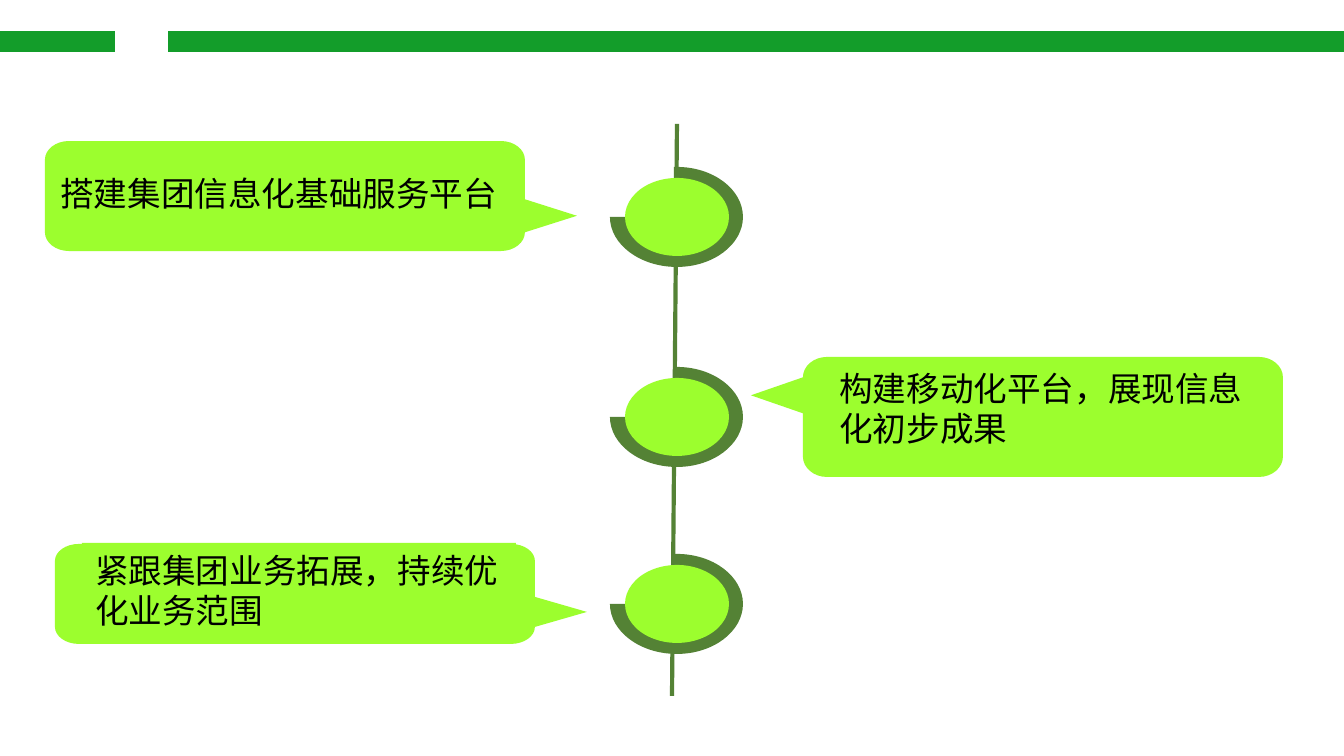
from pptx import Presentation
from pptx import util as u
from pptx.dml.color import RGBColor
from pptx.enum import shapes, text
from pptx.oxml.ns import qn
from lxml import etree

PX = 914400 / 134.4
COLORS = {"bar": "139D2A", "ring": "548235", "lime": "9CFE2E", "text": "000000"}

AXIS_X = 677
NODE_CENTERS = (217, 417, 604)
CALLOUT_WIDTH = 480
TAIL_LENGTH = 52
ARC_PULL = 0.55


def px(value):
    return u.Emu(round(value * PX))


def color(name):
    return RGBColor.from_string(COLORS[name])


def paint(shape, fill):
    shape.shadow.inherit = False
    shape.fill.solid()
    shape.fill.fore_color.rgb = color(fill)
    shape.line.fill.background()


def add_preset(page, kind, left, top, width, height, fill):
    shape = page.shapes.add_shape(kind, px(left), px(top), px(width), px(height))
    paint(shape, fill)


def quarter(start, corner, end):
    """Bezier points of a quarter ellipse that bends toward the corner."""
    def pull(point):
        return tuple(p + ARC_PULL * (c - p) for p, c in zip(point, corner))
    return [pull(start), pull(end), end]


def add_outline(page, start, segments, fill):
    """Closed outline; a segment holds one point (line) or three (curve)."""
    builder = page.shapes.build_freeform(px(start[0]), px(start[1]))
    builder.add_line_segments(
        [(px(x), px(y)) for segment in segments for x, y in segment], close=True)
    shape = builder.convert_to_shape()
    steps = iter(list(shape._element.iter(qn("a:lnTo"))))
    for segment in segments:
        first, *others = [next(steps) for _ in segment]
        if others:
            curve = etree.Element(qn("a:cubicBezTo"))
            first.addprevious(curve)
            for step in (first, *others):
                curve.append(step[0])
                step.getparent().remove(step)
    paint(shape, fill)


def add_axis(page):
    line = page.shapes.add_connector(
        shapes.MSO_CONNECTOR.STRAIGHT, px(677), px(124), px(672), px(696))
    line.line.color.rgb = color("ring")
    line.line.width = u.Pt(2.25)
    etree.SubElement(line._element.spPr, qn("a:effectLst"))


def add_ring(page, center_y):
    """Three-quarter disc, open at the upper left."""
    left, right = 610, 743
    top, bottom = center_y - 50, center_y + 50
    notch_x = AXIS_X - 3
    north, east = (AXIS_X, top), (right, center_y)
    south, west = (AXIS_X, bottom), (left, center_y)
    add_outline(page, north, [
        quarter(north, (right, top), east),
        quarter(east, (right, bottom), south),
        quarter(south, (left, bottom), west),
        [(notch_x, center_y)],
        [(notch_x, top)],
    ], "ring")


def add_callout(page, left, top, height, points_left=False):
    """Rounded box with a tail on its right, or turned by half a circle."""
    right, bottom = left + CALLOUT_WIDTH, top + height
    inner_left, inner_right = left + 24, right - 24
    inner_top, inner_bottom = top + 0.17 * height, bottom - 0.17 * height

    start = (inner_left, top)
    segments = [
        [(inner_right, top)],
        quarter((inner_right, top), (right, top), (right, inner_top)),
        [(right, top + 0.53 * height)],
        [(right + TAIL_LENGTH, top + 0.68 * height)],
        [(right, inner_bottom)],
        quarter((right, inner_bottom), (right, bottom), (inner_right, bottom)),
        [(inner_left, bottom)],
        quarter((inner_left, bottom), (left, bottom), (left, inner_bottom)),
        [(left, inner_top)],
        quarter((left, inner_top), (left, top), start),
    ]
    if points_left:
        def turn(point):
            return left + right - point[0], top + bottom - point[1]
        start = turn(start)
        segments = [[turn(point) for point in segment] for segment in segments]
    add_outline(page, start, segments, "lime")


def add_label(page, words, left, top, width, height, wrap=True, fill=None):
    box = page.shapes.add_textbox(px(left), px(top), px(width), px(height))
    if fill:
        paint(box, fill)
    frame = box.text_frame
    frame.word_wrap = wrap
    frame.auto_size = text.MSO_AUTO_SIZE.SHAPE_TO_FIT_TEXT
    para = frame.paragraphs[0]
    para.text = words
    para.font.name = "Calibri"
    para.font.size = u.Pt(18)
    para.font.color.rgb = color("text")


def main():
    deck = Presentation()
    deck.slide_width, deck.slide_height = px(1344), px(756)
    page = deck.slides.add_slide(deck.slide_layouts[6])

    for left, width in ((0, 115), (168, 1176)):
        add_preset(page, shapes.MSO_SHAPE.RECTANGLE, left, 31, width, 21, "bar")

    add_axis(page)
    for center_y in NODE_CENTERS:
        add_ring(page, center_y)
    for center_y in NODE_CENTERS:
        add_preset(page, shapes.MSO_SHAPE.OVAL,
                   AXIS_X - 52, center_y - 39, 104, 78, "lime")

    add_callout(page, 45, 141, 110)
    add_callout(page, 803, 357, 120, points_left=True)
    add_callout(page, 55, 544, 100)

    add_label(page, "搭建集团信息化基础服务平台", 47, 166, 468, 54, wrap=False)
    add_label(page, "构建移动化平台，展现信息化初步成果", 826, 361, 448, 95)
    add_label(page, "紧跟集团业务拓展，持续优化业务范围", 82, 543, 434, 95, fill="lime")

    deck.save("out.pptx")


if __name__ == "__main__":
    main()
